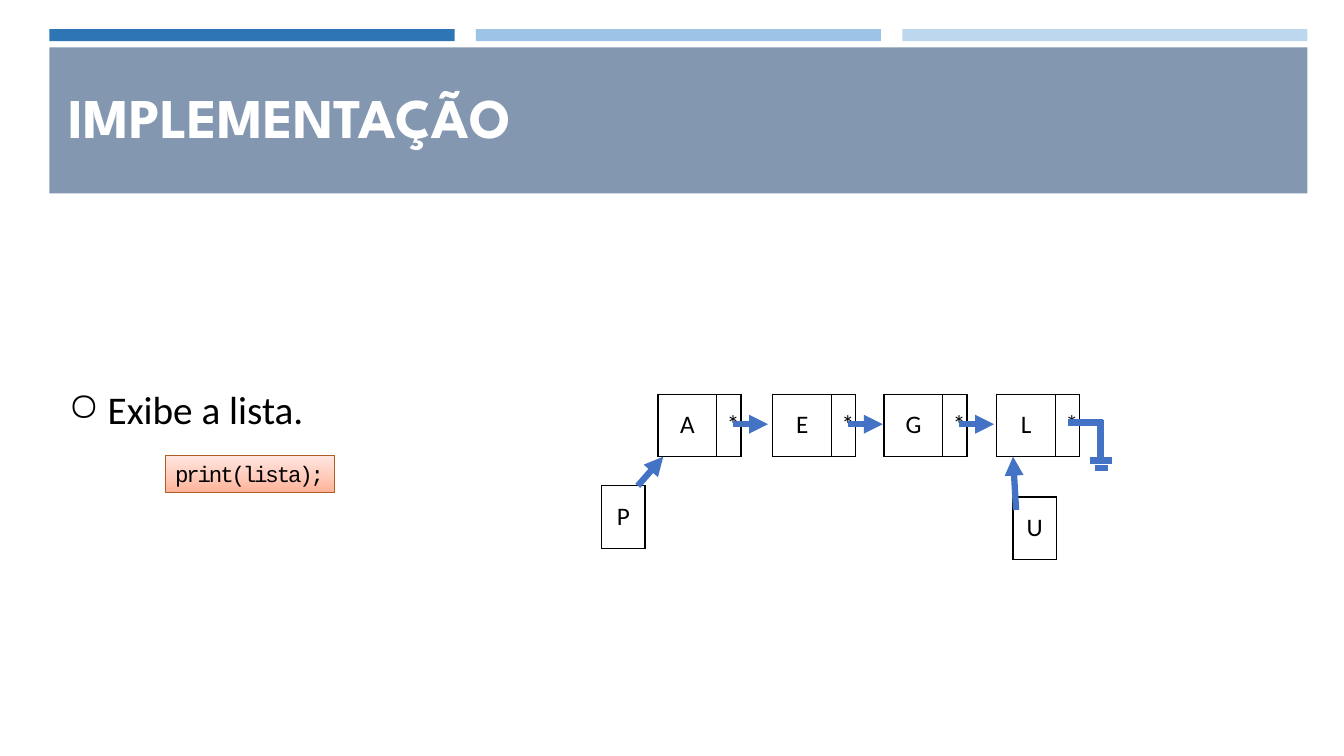
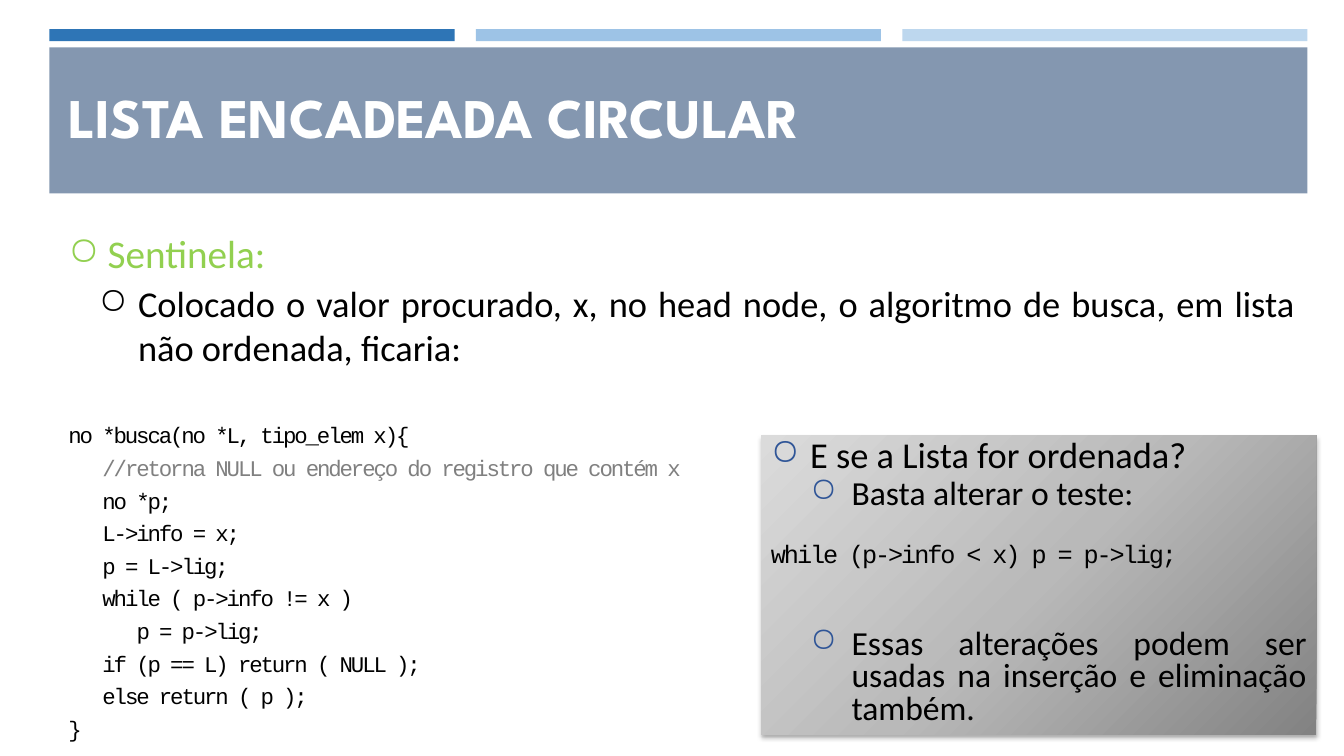
from dataclasses import dataclass
from copy import deepcopy
from lxml.etree import SubElement
from pptx import Presentation
from pptx.dml.color import RGBColor
from pptx.enum.shapes import MSO_CONNECTOR, MSO_SHAPE
from pptx.enum.text import MSO_ANCHOR, PP_ALIGN
from pptx.oxml.ns import qn
from pptx.util import Pt


@dataclass(frozen=True)
class Theme:
    title_font: str = "League Spartan"
    body_font: str = "Calibri"
    code_font: str = "Courier New"
    white: str = "FFFFFF"
    black: str = "000000"
    band: str = "8497B0"
    strips: tuple = ("2E75B6", "9DC3E6", "BDD7EE")
    arrow: str = "4472C4"
    bullet: str = "2F5597"
    green: str = "92D050"
    comment: str = "808080"
    peach: tuple = ("FFB297", "FFCEBF", "FFE6E0")
    peach_edge: str = "AF5C24"
    grey: tuple = ("828282", "B9B9B9", "DBDBDB")
    title_size: int = 40
    topic_size: int = 28
    detail_size: int = 26
    point_size: int = 24
    node_size: int = 18
    code_size: int = 16


theme = Theme()


def write(frame, text, size=theme.detail_size, font=theme.body_font, color=theme.black,
          bold=False, align=PP_ALIGN.LEFT, indent=0, bullet=None, hang=28,
          tracking=0, leading=1.0, before=0, after=3):
    blank = len(frame.paragraphs) == 1 and not frame.paragraphs[0].runs
    paragraph = frame.paragraphs[0] if blank else frame.add_paragraph()
    paragraph.alignment = align
    paragraph.line_spacing = leading
    paragraph.space_before, paragraph.space_after = Pt(before), Pt(after)
    properties = paragraph._p.get_or_add_pPr()
    properties.set("marL", str(Pt(indent)))
    properties.set("indent", str(Pt(-hang if bullet else 0)))
    if bullet:
        SubElement(SubElement(properties, qn("a:buClr")), qn("a:srgbClr"), val=bullet)
        SubElement(properties, qn("a:buChar"), char="○")
    run = paragraph.add_run()
    run.text = text
    run.font.size, run.font.name, run.font.bold = Pt(size), font, bold
    run.font.color.rgb = RGBColor.from_string(color)
    run._r.get_or_add_rPr().set("spc", str(round(tracking * 100)))


def panel(slide, left, top, width, height, colors, angle=0, edge=None):
    shape = slide.shapes.add_shape(MSO_SHAPE.RECTANGLE, Pt(left), Pt(top), Pt(width), Pt(height))
    shape.shadow.inherit = False
    if len(colors) == 1:
        shape.fill.solid()
        shape.fill.fore_color.rgb = RGBColor.from_string(colors[0])
    else:
        shape.fill.gradient()
        shape.fill.gradient_angle = angle
        stops = shape._element.spPr.find(".//" + qn("a:gsLst"))
        stops.insert(1, deepcopy(stops[0]))
        for stop, position, color in zip(shape.fill.gradient_stops, (0, 0.5, 1), colors):
            stop.position = position
            stop.color.rgb = RGBColor.from_string(color)
    if edge:
        shape.line.color.rgb = RGBColor.from_string(edge)
        shape.line.width = Pt(1)
    else:
        shape.line.fill.background()
    shape.text_frame.vertical_anchor = MSO_ANCHOR.TOP
    return shape


deck = Presentation()
deck.slide_width, deck.slide_height = Pt(960), Pt(540)

slides, bodies = [], []
for title, body_top in (("IMPLEMENTAÇÃO", 272), ("LISTA ENCADEADA CIRCULAR", 160.6)):
    slide = deck.slides.add_slide(deck.slide_layouts[6])
    heading = panel(slide, 35.3, 33.8, 898.6, 104.4, (theme.band,)).text_frame
    heading.margin_left = Pt(13.7)
    heading.vertical_anchor = MSO_ANCHOR.MIDDLE
    write(heading, title, size=theme.title_size, font=theme.title_font,
          color=theme.white, bold=True, leading=0.9, after=0)
    for column, color in enumerate(theme.strips):
        panel(slide, 35.3 + column * 304.6, 20.9, 289.4, 8.6, (color,))
    body = slide.shapes.add_textbox(Pt(41.8), Pt(body_top), Pt(891.4), Pt(527 - body_top)).text_frame
    body.word_wrap = True
    slides.append(slide)
    bodies.append(body)

code = {"font": theme.code_font, "tracking": -1.5}
justified = {"align": PP_ALIGN.JUSTIFY}

list_slide, circular_slide = slides
list_body, circular_body = bodies

write(list_body, "Exibe a lista.", size=theme.topic_size, indent=28, bullet=theme.black)
command = panel(list_slide, 118, 325.4, 121, 26.6, theme.peach, angle=90, edge=theme.peach_edge).text_frame
command.word_wrap = False
write(command, "print(lista);", size=theme.code_size, **code)

nodes = {"A": 470, "E": 552, "G": 631.5, "L": 712}
node_top, node_height, letter_width, link_width = 281.5, 44.6, 42, 17.3
cells = [(left, node_top, ((letter, letter_width), ("*", link_width))) for letter, left in nodes.items()]
cells += [(429.8, 347, (("P", 31),)), (723.6, 355, (("U", 31),))]
for left, top, fields in cells:
    width = sum(field_width for _, field_width in fields)
    node = list_slide.shapes.add_table(1, len(fields), Pt(left), Pt(top), Pt(width), Pt(node_height)).table
    node.first_row = node.horz_banding = False
    node.rows[0].height = Pt(node_height)
    for column, (text, field_width) in enumerate(fields):
        node.columns[column].width = Pt(field_width)
        cell = node.cell(0, column)
        cell.vertical_anchor = MSO_ANCHOR.MIDDLE
        write(cell.text_frame, text, size=theme.node_size, after=0,
              align=PP_ALIGN.LEFT if text == "*" else PP_ALIGN.CENTER)
        for side in ("lnL", "lnR", "lnT", "lnB"):
            border = SubElement(cell._tc.get_or_add_tcPr(), qn("a:" + side), w=str(Pt(1)))
            SubElement(SubElement(border, qn("a:solidFill")), qn("a:srgbClr"), val=theme.black)
        cell.fill.background()

links = [(left + 53.4, 303, left + 78.6, 303, True) for letter, left in nodes.items() if letter != "L"]
links += [(455.6, 347, 473.8, 326.2, True), (725.8, 364.3, 723.6, 326.2, True)]
ground = [(763.2, 301.7, 787.7, 301.7, False), (786.2, 300.2, 786.2, 328.3, False),
          (778.3, 329, 794.2, 329, False), (781.9, 334.1, 791.3, 334.1, False)]
for x1, y1, x2, y2, pointed in links + ground:
    link = list_slide.shapes.add_connector(MSO_CONNECTOR.STRAIGHT, Pt(x1), Pt(y1), Pt(x2), Pt(y2))
    link.line.color.rgb = RGBColor.from_string(theme.arrow)
    link.line.width = Pt(4.5)
    if pointed:
        SubElement(link.line._get_or_add_ln(), qn("a:tailEnd"), type="triangle")
    SubElement(link._element.spPr, qn("a:effectLst"))

write(circular_body, "Sentinela:", size=theme.topic_size, color=theme.green, indent=28, bullet=theme.green)
write(circular_body, "Colocado o valor procurado, x, no head node, o algoritmo de busca, "
      "em lista não ordenada, ficaria:", indent=49.7, bullet=theme.black, **justified)
search = (
    (0, "no *busca(no *L, tipo_elem x){"),
    (1, "//retorna NULL ou endereço do registro que contém x"),
    (1, "no *p;"),
    (1, "L->info = x;"),
    (1, "p = L->lig;"),
    (1, "while ( p->info != x )"),
    (2, "p = p->lig;"),
    (1, "if (p == L) return ( NULL );"),
    (1, "else return ( p );"),
    (0, "}"),
)
for number, (depth, statement) in enumerate(search):
    write(circular_body, statement, size=theme.code_size, indent=depth * 24.3,
          color=theme.comment if statement.startswith("//") else theme.black,
          before=0 if number else 35, after=4.1, **code)

ordered = panel(circular_slide, 543.6, 311, 396.7, 213.8, theme.grey, angle=135)
shadow = SubElement(ordered._element.spPr.find(qn("a:effectLst")), qn("a:outerShdw"),
                    blurRad=str(Pt(3.5)), dist=str(Pt(2.2)), dir="5400000", rotWithShape="0")
shade = SubElement(shadow, qn("a:srgbClr"), val=theme.black)
SubElement(shade, qn("a:alpha"), val="32000")
question = ordered.text_frame
question.word_wrap = True
point = {"size": theme.point_size, "indent": 57.6, "hang": 29.5, "bullet": theme.bullet, "leading": 0.8}
write(question, "E se a Lista for ordenada?", indent=28, bullet=theme.bullet, leading=0.8)
write(question, "Basta alterar o teste:", **point)
write(question, "while (p->info < x) p = p->lig;", size=theme.node_size, leading=0.8, before=20, **code)
write(question, "Essas alterações podem ser usadas na inserção e eliminação também.",
      before=41, after=0, **point, **justified)

deck.save("out.pptx")
